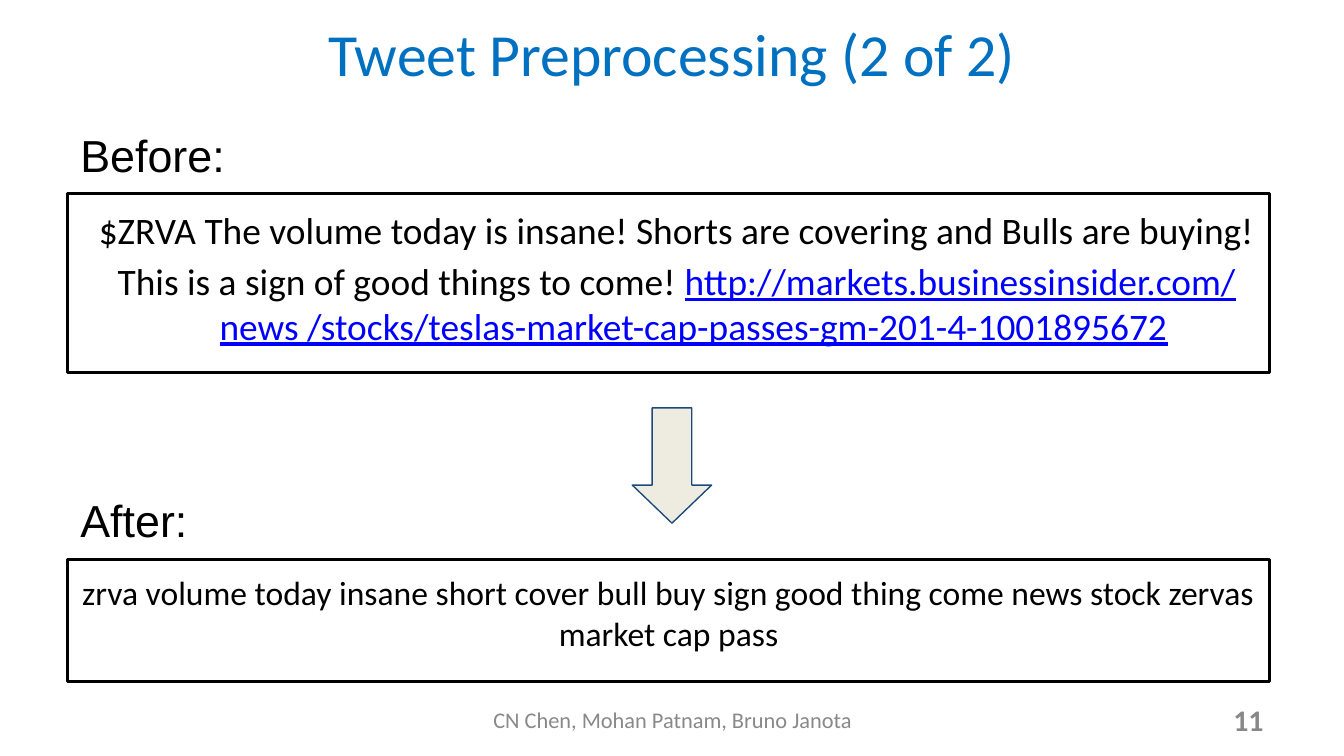
from pptx import Presentation
from pptx.dml.color import RGBColor
from pptx.enum.shapes import MSO_SHAPE
from pptx.enum.text import MSO_ANCHOR, PP_ALIGN
from pptx.util import Cm, Pt

LEFT = 1.27
BOX_WIDTH = 22.73
LABEL_HEIGHT = 1.5
PADDING = 0.25


def color(hex_string):
    """Turn a hex string into a colour."""
    return RGBColor.from_string(hex_string)


def style_paragraph(paragraph, size, font="Calibri", hex_string="000000",
                    align=PP_ALIGN.CENTER, bold=False):
    """Set the alignment and font of a whole paragraph."""
    paragraph.alignment = align
    paragraph.font.size = Pt(size)
    paragraph.font.name = font
    paragraph.font.bold = bold
    paragraph.font.color.rgb = color(hex_string)


def set_frame(shape, anchor, padding=PADDING):
    """Wrap the text of a shape and set its anchor and insets."""
    frame = shape.text_frame
    frame.word_wrap = True
    frame.vertical_anchor = anchor
    frame.margin_left = frame.margin_right = Cm(PADDING)
    frame.margin_top = frame.margin_bottom = Cm(padding)
    return frame


def add_text(page, text, left, top, width, height, size,
             anchor=MSO_ANCHOR.MIDDLE, padding=PADDING, **style):
    """Add a text box with one paragraph."""
    box = page.shapes.add_textbox(Cm(left), Cm(top), Cm(width), Cm(height))
    paragraph = set_frame(box, anchor, padding).paragraphs[0]
    paragraph.text = text
    style_paragraph(paragraph, size, **style)


def add_preset(page, kind, left, top, width, height, line, line_width, fill=None):
    """Add an outlined preset shape, filled when a colour is given."""
    shape = page.shapes.add_shape(kind, Cm(left), Cm(top), Cm(width), Cm(height))
    shape.shadow.inherit = False
    shape.line.color.rgb = color(line)
    shape.line.width = Pt(line_width)
    if fill:
        shape.fill.solid()
        shape.fill.fore_color.rgb = color(fill)
    else:
        shape.fill.background()
    return shape


def add_tweet(page, label, paragraphs, top, height, size, hanging=False):
    """Add a framed tweet with its label; a paragraph is text plus an optional link."""
    add_text(page, label, LEFT, top - LABEL_HEIGHT, 5.44, LABEL_HEIGHT, 24,
             anchor=MSO_ANCHOR.TOP, font="Arial", align=PP_ALIGN.LEFT)
    box = add_preset(page, MSO_SHAPE.RECTANGLE, LEFT, top, BOX_WIDTH, height,
                     "000000", 1.5)
    frame = set_frame(box, MSO_ANCHOR.TOP)
    for index, (text, link) in enumerate(paragraphs):
        paragraph = frame.add_paragraph() if index else frame.paragraphs[0]
        if index:
            paragraph.space_before = Pt(3.6)
        if hanging:
            properties = paragraph._p.get_or_add_pPr()
            properties.set("marL", str(Cm(0.95)))
            properties.set("indent", str(Cm(-0.64)))
        style_paragraph(paragraph, size)
        paragraph.add_run().text = text
        if link:
            span = paragraph.add_run()
            span.text = link
            span.font.underline = True
            span.font.color.rgb = color("0000FF")


def main():
    """Build and save the slide."""
    deck = Presentation()
    deck.slide_width, deck.slide_height = Cm(25.4), Cm(14.29)
    page = deck.slides.add_slide(deck.slide_layouts[6])

    add_text(page, "Tweet Preprocessing (2 of 2)", LEFT, 0.25, 22.86, 1.5, 32,
             hex_string="0070C0")
    add_tweet(page, "Before:", [
        ("$ZRVA The volume today is insane! Shorts are covering and Bulls are buying!", ""),
        ("This is a sign of good things to come! ",
         "http://markets.businessinsider.com/ news "
         "/stocks/teslas-market-cap-passes-gm-201-4-1001895672"),
    ], 3.66, 3.38, 20, hanging=True)
    arrow = add_preset(page, MSO_SHAPE.DOWN_ARROW, 11.95, 7.71, 1.5, 2.18,
                       "1F497D", 0.75, fill="EEECE1")
    arrow.adjustments[1] = 0.48
    add_tweet(page, "After:", [
        ("zrva volume today insane short cover bull buy sign good thing come "
         "news stock zervas market cap pass", ""),
    ], 10.57, 2.31, 18)
    add_text(page, "CN Chen, Mohan Patnam, Bruno Janota", 8.69, 13.23, 8.05, 0.76, 12,
             hex_string="898989")
    add_text(page, "11", 18.21, 13.23, 5.92, 0.76, 16, padding=0.13,
             hex_string="888888", align=PP_ALIGN.RIGHT, bold=True)

    deck.save("out.pptx")


if __name__ == "__main__":
    main()
